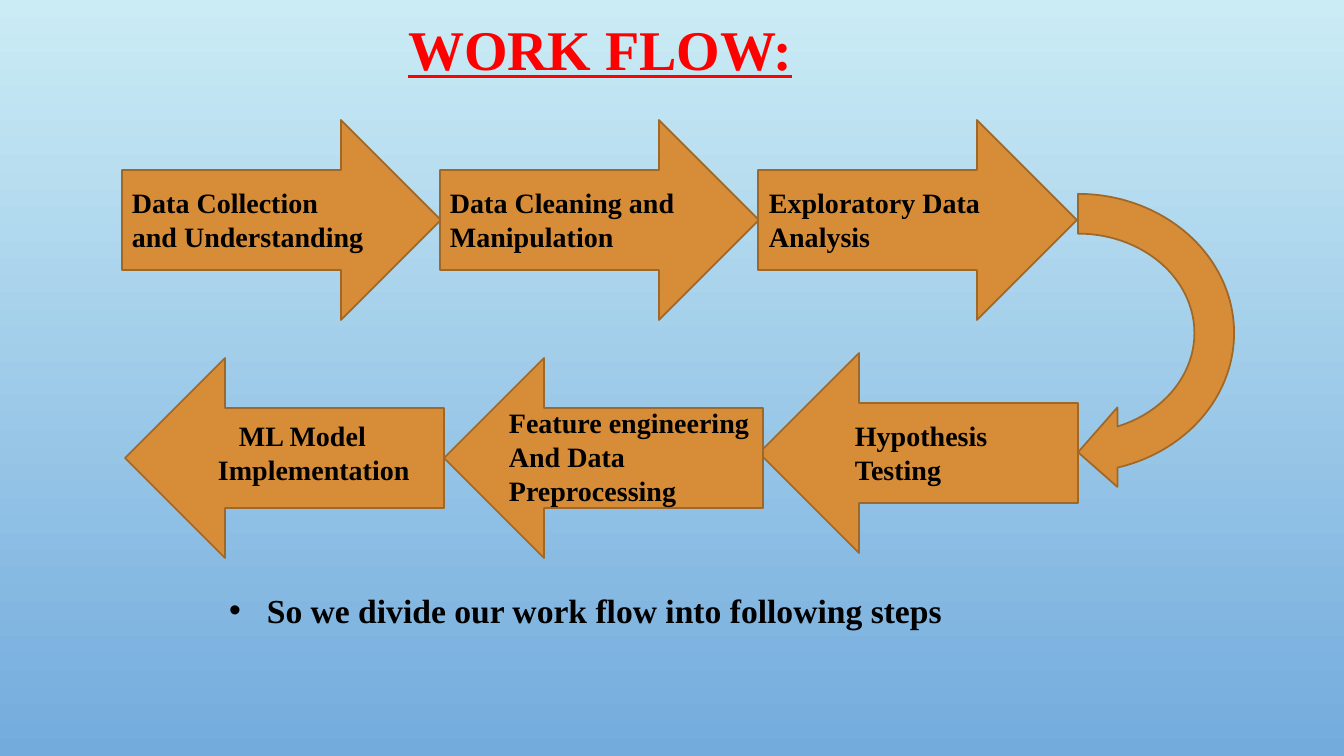
from pptx import Presentation
from pptx import util as u
from pptx.dml.color import RGBColor
from pptx.enum import shapes, text

COLOURS = {"sky": "CBECF5", "deep": "73ABDD", "arrow": "D78D38",
           "edge": "9F6829", "title": "FF0000", "ink": "000000"}
COLOURS = {part: RGBColor.from_string(value) for part, value in COLOURS.items()}
EMU_PER_PX = 12192000 / 1344


def px(*lengths):
    return [u.Emu(round(length * EMU_PER_PX)) for length in lengths]


def write(holder, box, lines, size, colour, **font_format):
    """Place a text holder and fill it with one paragraph per line."""
    holder.left, holder.top, holder.width, holder.height = px(*box)
    frame = holder.text_frame
    frame.word_wrap = True
    frame.vertical_anchor = text.MSO_ANCHOR.TOP
    frame.text = "\n".join(lines)
    font_format = {"name": "Times New Roman", "size": u.Pt(size), "bold": True, **font_format}
    for paragraph in frame.paragraphs:
        paragraph.alignment = text.PP_ALIGN.LEFT
        paragraph.space_before = u.Pt(0)
        font = paragraph.runs[0].font
        font.color.rgb = COLOURS[colour]
        for attribute, value in font_format.items():
            setattr(font, attribute, value)
    return frame


deck = Presentation()
deck.slide_width, deck.slide_height = px(1344, 756)
slide = deck.slides.add_slide(deck.slide_layouts[1])

backdrop = slide.background.fill
backdrop.gradient()
backdrop.gradient_angle = 270
for stop, position, colour in zip(backdrop.gradient_stops, (0, 1), ("sky", "deep")):
    stop.position = position
    stop.color.rgb = COLOURS[colour]

heading = write(slide.shapes.title, (398, -4, 900, 110), ["WORK FLOW:"], 40, "title", underline=True)
heading.auto_size = text.MSO_AUTO_SIZE.NONE
heading.paragraphs[0].line_spacing = 1.2
heading.paragraphs[0].space_before = u.Pt(10)

summary = write(slide.placeholders[1], (219, 585, 910, 50),
                ["So we divide our work flow into following steps"], 24, "ink")
summary.auto_size = text.MSO_AUTO_SIZE.NONE

# Steps run rightwards along the top row, then back leftwards below
RIGHT, TURN = shapes.MSO_SHAPE.RIGHT_ARROW, shapes.MSO_SHAPE.CIRCULAR_ARROW
top_row = [(RIGHT, (122 + 318 * step, 120, 319, 200), 0) for step in range(3)]
bottom_row = [(RIGHT, (left, top, 319, 200), 180)
              for left, top in ((759, 353), (444, 358), (125, 358))]
turn = [(TURN, (919, 157, 318, 352), 90)]
for kind, box, rotation in top_row + bottom_row + turn:
    arrow = slide.shapes.add_shape(kind, *px(*box))
    arrow.rotation = rotation
    arrow.shadow.inherit = False
    arrow.fill.solid()
    arrow.fill.fore_color.rgb = COLOURS["arrow"]
    arrow.line.color.rgb = COLOURS["edge"]
    arrow.line.width = u.Pt(1.25)

steps = [
    ((122, 181, 253, 78), ["Data Collection and Understanding"]),
    ((440, 181, 253, 78), ["Data Cleaning and Manipulation"]),
    ((759, 181, 253, 78), ["Exploratory Data Analysis"]),
    ((845, 414, 253, 78), ["Hypothesis", "Testing"]),
    ((499, 401, 288, 112), ["Feature engineering", "And Data Preprocessing"]),
    ((208, 414, 253, 78), ["ML Model", "Implementation"]),
]
for box, lines in steps:
    label = write(slide.shapes.add_textbox(*px(*box)), box, lines, 20, "ink")
    label.auto_size = text.MSO_AUTO_SIZE.SHAPE_TO_FIT_TEXT
    if lines[0] == "ML Model":
        label.paragraphs[0]._p.get_or_add_pPr().set("marL", str(px(21)[0]))

deck.save("out.pptx")
